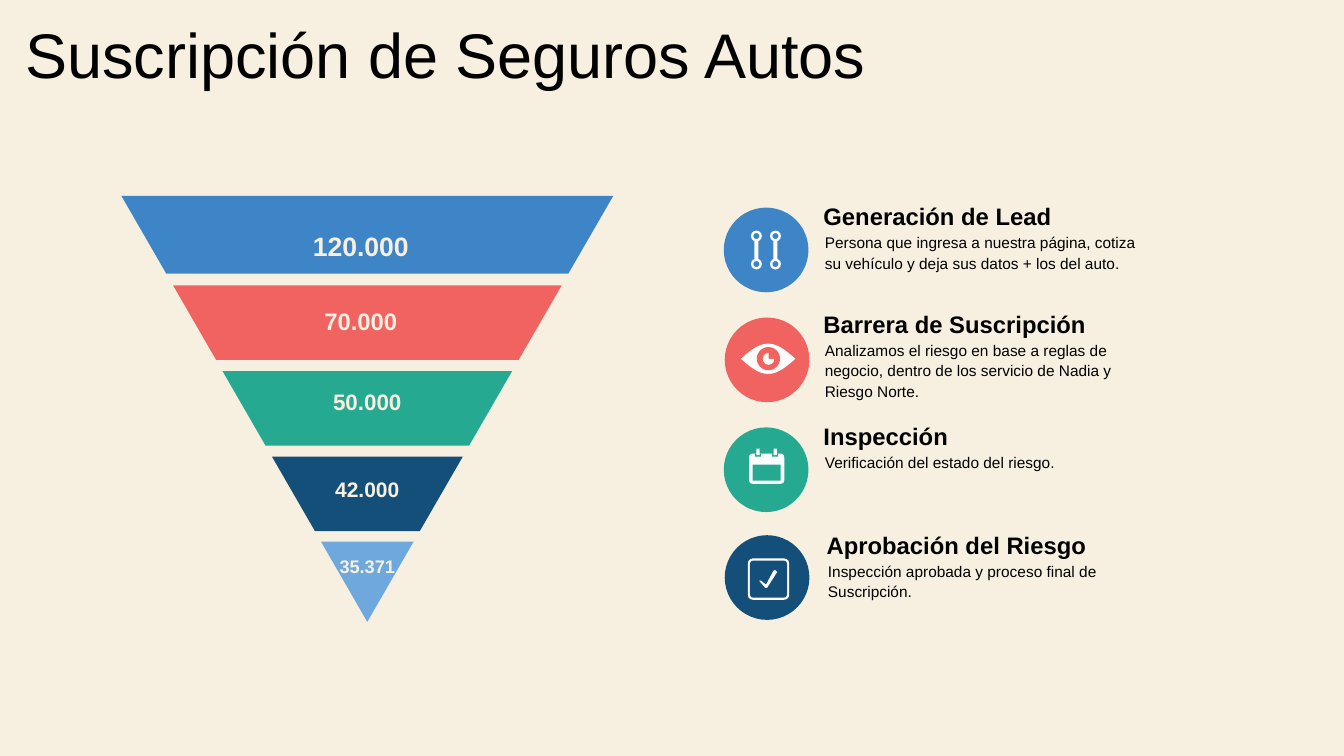
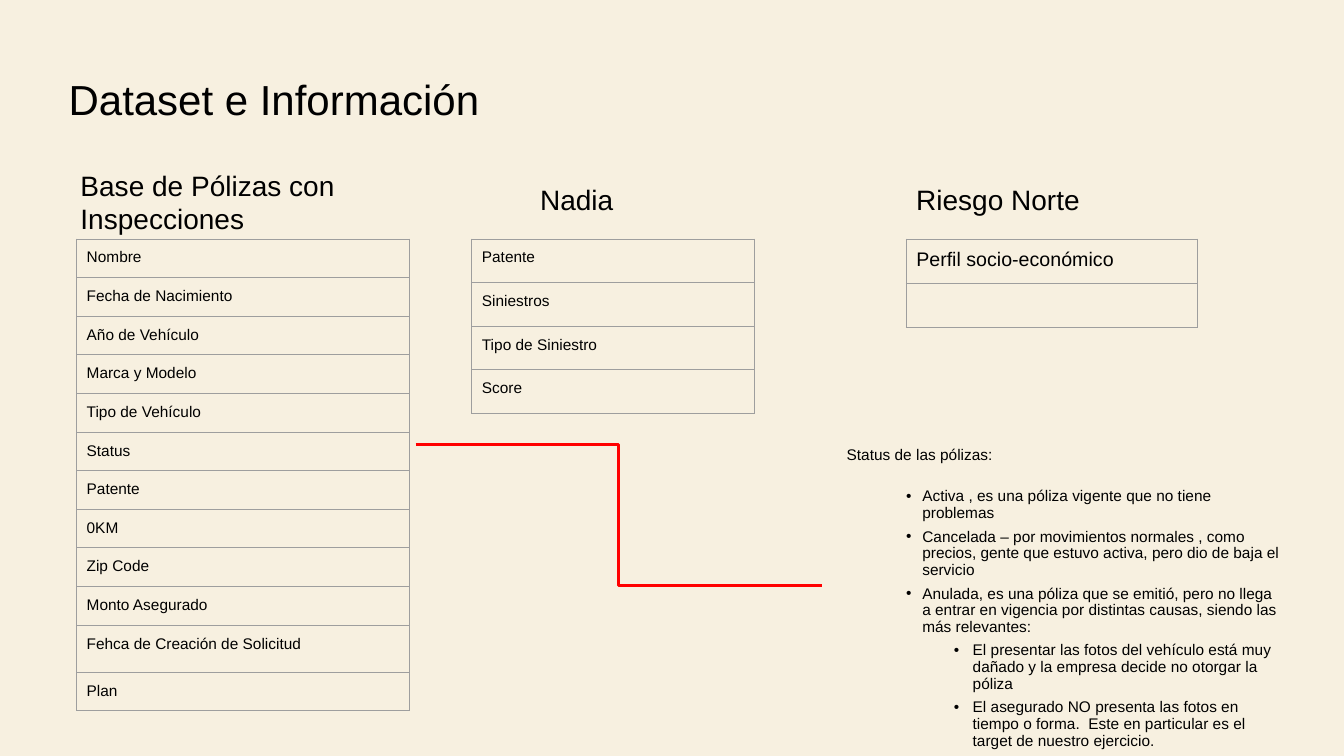
from dataclasses import dataclass
from math import pi, sin, sqrt
from typing import NamedTuple, Optional, Union

from lxml import etree
from pptx import Presentation
from pptx.dml.color import RGBColor
from pptx.enum import shapes, text
from pptx.oxml import ns
from pptx.util import Pt

Preset = shapes.MSO_SHAPE
Align = text.PP_ALIGN


@dataclass(frozen=True)
class Theme:
    font: str = "Arial"
    cream: str = "F7F0E0"
    black: str = "000000"
    white: str = "FFFFFF"
    blue: str = "3D85C6"
    coral: str = "F16361"
    green: str = "25A991"
    navy: str = "144F7A"
    sky: str = "6FA8DC"
    red: str = "FF0000"
    grid: str = "9E9E9E"
    cover_title: float = 45
    title: float = 30
    subtitle: float = 20
    heading: float = 17
    cell_large: float = 14
    body: float = 11


THEME = Theme()


class Box(NamedTuple):
    left: float
    top: float
    width: float
    height: float

    def lengths(self) -> tuple:
        return tuple(Pt(value) for value in self)


class Tier(NamedTuple):
    top: float
    bottom: float
    color: str
    label: str
    size: float
    label_left: float
    label_top: float


class Part(NamedTuple):
    """A preset shape of an icon, placed from the corner of its circle."""
    kind: Preset
    box: Box
    cut_out: bool = False
    adjust: Optional[float] = None


class Outline(NamedTuple):
    points: list


class Step(NamedTuple):
    circle_left: float
    circle_top: float
    text_left: float
    text_top: float
    color: str
    heading: str
    detail: str
    icon: list[Union[Part, Outline]]


class FieldTable(NamedTuple):
    heading: str
    heading_box: Box
    left: float
    width: float
    size: float
    row_heights: list[float]
    fields: list[str]


class Item(NamedTuple):
    level: int
    words: str


# Funnel: every side lies on a 60° line to the tip
FUNNEL_CENTER, FUNNEL_TIP = 262.4, 444.2
TIERS = [
    Tier(140, 195.5, THEME.blue, "120.000", 19, 118.8, 154.8),
    Tier(203.8, 257, THEME.coral, "70.000", 17, 118.8, 209.5),
    Tier(265, 318.2, THEME.green, "50.000", 16, 123.4, 267.8),
    Tier(326.2, 379.4, THEME.navy, "42.000", 15, 123.4, 331.2),
    Tier(386.9, FUNNEL_TIP, THEME.sky, "35.371", 13, 123.4, 387.4),
]

# Icons
CIRCLE = 60.5
LINK_ICON = [
    part
    for left in (19.4, 33)
    for part in (
        Part(Preset.DONUT, Box(left, 16.4, 7.8, 7.8), adjust=0.22),
        Part(Preset.RECTANGLE, Box(left + 2.45, 23.3, 2.9, 14.4)),
        Part(Preset.DONUT, Box(left, 36.4, 7.8, 7.8), adjust=0.22),
    )
]


def lens(box: Box, steps: int = 24) -> Outline:
    """An eye outline made of two mirrored arcs."""
    points = []
    for index in range(2 * steps):
        turn = index / steps
        along = turn if turn <= 1 else 2 - turn
        points.append((box.left + box.width * along,
                       box.top + box.height / 2 * (1 - sin(pi * turn))))
    return Outline(points)


EYE_ICON = [
    lens(Box(11.5, 18.7, 39, 21.6)),
    Part(Preset.OVAL, Box(22.9, 21.1, 16.6, 16.6), cut_out=True),
    Part(Preset.PIE, Box(27.2, 25.2, 8.2, 8.6)),
]
CALENDAR_ICON = [
    Part(Preset.ROUNDED_RECTANGLE, Box(18, 18.7, 25.2, 21.6), adjust=0.12),
    Part(Preset.RECTANGLE, Box(20.6, 26.6, 20, 11.5), cut_out=True),
] + [
    part
    for left in (22.3, 34.6)
    for part in (
        Part(Preset.RECTANGLE, Box(left, 18.7, 4.3, 2.2), cut_out=True),
        Part(Preset.RECTANGLE, Box(left + 1, 15.1, 2.3, 4.8)),
    )
]
CHECK_ICON = [
    Part(Preset.ROUNDED_RECTANGLE, Box(16.5, 16.6, 29.5, 29.5), adjust=0.12),
    Part(Preset.ROUNDED_RECTANGLE, Box(18, 18.1, 26.5, 26.5), True, 0.09),
    Outline([(24.6, 32.6), (29, 37.7), (30.2, 37.7), (37.4, 26.4),
             (36, 24.9), (34.8, 25.4), (29.5, 35.3), (25.9, 32.4)]),
]

STEPS = [
    Step(517, 148.3, 579.6, 139.7, THEME.blue, "Generación de Lead",
         "Persona que ingresa a nuestra página, cotiza su vehículo y deja "
         "sus datos + los del auto.", LINK_ICON),
    Step(517.7, 226.8, 579.6, 216.7, THEME.coral, "Barrera de Suscripción",
         "Analizamos el riesgo en base a reglas de negocio, dentro de los "
         "servicio de Nadia y Riesgo Norte.", EYE_ICON),
    Step(517, 305.3, 579.6, 296.6, THEME.green, "Inspección",
         "Verificación del estado del riesgo.", CALENDAR_ICON),
    Step(517.7, 382.3, 581.8, 374.4, THEME.navy, "Aprobación del Riesgo",
         "Inspección aprobada y proceso final de Suscripción.", CHECK_ICON),
]

# Tables
TABLE_TOP = 170.7
TABLES = [
    FieldTable("Base de Pólizas con Inspecciones", Box(50.4, 113, 286.6, 87),
               54.7, 237.6, THEME.body, [27.6] * 10 + [33.6, 27.6],
               ["Nombre", "Fecha de Nacimiento", "Año de Vehículo",
                "Marca y Modelo", "Tipo de Vehículo", "Status", "Patente",
                "0KM", "Zip Code", "Monto Asegurado",
                "Fehca de Creación de Solicitud", "Plan"]),
    FieldTable("Nadia", Box(378.7, 123.1, 286.6, 63.4),
               337, 201.6, THEME.body, [31.1] * 4,
               ["Patente", "Siniestros", "Tipo de Siniestro", "Score"]),
    FieldTable("Riesgo Norte", Box(647.3, 123.1, 286.6, 63.4),
               647.3, 208.1, THEME.cell_large, [31.5] * 2,
               ["Perfil socio-económico", ""]),
]

STATUS_HEADING = "Status de las pólizas:"
STATUSES = [
    Item(1, "Activa , es una póliza vigente que no tiene problemas"),
    Item(1, "Cancelada – por movimientos normales , como precios, gente que "
            "estuvo activa, pero dio de baja el servicio"),
    Item(1, "Anulada, es una póliza que se emitió, pero no llega a entrar en "
            "vigencia por distintas causas, siendo las más relevantes:"),
    Item(2, "El presentar las fotos del vehículo está muy dañado y la empresa "
            "decide no otorgar la póliza"),
    Item(2, "El asegurado NO presenta las fotos en tiempo o forma.  Este en "
            "particular es el target de nuestro ejercicio."),
]
INDENTS = {1: (54, -11.5), 2: (90, -13.5)}


# Shared helpers
def format_paragraph(paragraph, size: float, color: str = THEME.black,
                     bold: bool = False, align=Align.LEFT) -> None:
    paragraph.alignment = align
    font = paragraph.font
    font.name, font.size, font.bold = THEME.font, Pt(size), bold
    font.color.rgb = RGBColor.from_string(color)


def prepare_frame(shape, box: Box, inset_x: float, inset_y: float):
    shape.left, shape.top, shape.width, shape.height = box.lengths()
    frame = shape.text_frame
    frame.word_wrap = True
    frame.auto_size = text.MSO_AUTO_SIZE.NONE
    frame.vertical_anchor = text.MSO_ANCHOR.TOP
    frame.margin_left = frame.margin_right = Pt(inset_x)
    frame.margin_top = frame.margin_bottom = Pt(inset_y)
    return frame


def add_text(slide, box: Box, words: str, size: float, inset_x: float = 7.2,
             inset_y: float = 7.2, spacing: float = 1.0, **style) -> None:
    shape = slide.shapes.add_textbox(*box.lengths())
    paragraph = prepare_frame(shape, box, inset_x, inset_y).paragraphs[0]
    paragraph.text = words
    paragraph.line_spacing = spacing
    format_paragraph(paragraph, size, **style)


def set_title(slide, box: Box, words: str, size: float, inset: float) -> None:
    frame = prepare_frame(slide.shapes.title, box, inset, inset)
    frame.text = words
    format_paragraph(frame.paragraphs[0], size)


def paint(shape, color: str) -> None:
    shape.shadow.inherit = False
    shape.fill.solid()
    shape.fill.fore_color.rgb = RGBColor.from_string(color)
    shape.line.fill.background()


def add_preset(slide, kind: Preset, box: Box, color: str,
               adjust: Optional[float] = None) -> None:
    shape = slide.shapes.add_shape(kind, *box.lengths())
    paint(shape, color)
    if adjust is not None:
        shape.adjustments[0] = adjust


def add_outline(slide, points: list, color: str) -> None:
    corners = [(Pt(x), Pt(y)) for x, y in points]
    builder = slide.shapes.build_freeform(*corners[0])
    builder.add_line_segments(corners[1:], close=True)
    paint(builder.convert_to_shape(), color)


def add_child(parent, tag: str, **attributes: str):
    return etree.SubElement(parent, ns.qn(tag), **attributes)


# Parts of the slides
def add_tier(slide, tier: Tier) -> None:
    upper, lower = ((FUNNEL_TIP - y) / sqrt(3) for y in (tier.top, tier.bottom))
    points = [(FUNNEL_CENTER - upper, tier.top), (FUNNEL_CENTER + upper, tier.top),
              (FUNNEL_CENTER + lower, tier.bottom)]
    if lower:
        points.append((FUNNEL_CENTER - lower, tier.bottom))
    add_outline(slide, points, tier.color)
    add_text(slide, Box(tier.label_left, tier.label_top, 277.9, 40), tier.label,
             tier.size, 9.4, 9.4, color=THEME.cream, bold=True, align=Align.CENTER)


def add_step(slide, step: Step) -> None:
    left, top = step.circle_left, step.circle_top
    add_preset(slide, Preset.OVAL, Box(left, top, CIRCLE, CIRCLE), step.color)
    for part in step.icon:
        if isinstance(part, Outline):
            add_outline(slide, [(left + x, top + y) for x, y in part.points],
                        THEME.white)
        else:
            box = part.box._replace(left=left + part.box.left, top=top + part.box.top)
            add_preset(slide, part.kind, box,
                       step.color if part.cut_out else THEME.white, part.adjust)
    add_text(slide, Box(step.text_left, step.text_top, 212, 29.5), step.heading,
             THEME.heading, 8.6, 4.3, bold=True)
    add_text(slide, Box(step.text_left + 1, step.text_top + 21.4, 253.4, 51),
             step.detail, THEME.body, 8.6, 4.3, spacing=1.1)


def add_field_table(slide, data: FieldTable) -> None:
    add_text(slide, data.heading_box, data.heading, THEME.subtitle)
    box = Box(data.left, TABLE_TOP, data.width, sum(data.row_heights))
    table = slide.shapes.add_table(len(data.fields), 1, *box.lengths()).table
    table.first_row = table.horz_banding = False
    for row, height, field in zip(table.rows, data.row_heights, data.fields):
        row.height = Pt(height)
        cell = row.cells[0]
        cell.margin_left = cell.margin_right = cell.margin_top = Pt(7.2)
        cell.margin_bottom = 0
        cell.text = field
        format_paragraph(cell.text_frame.paragraphs[0], data.size)
        properties = cell._tc.get_or_add_tcPr()
        for side in ("a:lnL", "a:lnR", "a:lnT", "a:lnB"):
            border = add_child(properties, side, w=str(Pt(0.75)))
            add_child(add_child(border, "a:solidFill"), "a:srgbClr", val=THEME.grid)
        cell.fill.background()


def add_status_list(slide) -> None:
    frame = prepare_frame(slide.placeholders[1], Box(597.6, 311, 326.2, 234.7), 7.2, 7.2)
    for index, item in enumerate([Item(0, STATUS_HEADING), *STATUSES]):
        paragraph = frame.paragraphs[0] if index == 0 else frame.add_paragraph()
        paragraph.text = item.words
        paragraph.level = item.level
        properties = paragraph._p.get_or_add_pPr()
        margin, indent = INDENTS.get(item.level, (0, 0))
        properties.set("marL", str(Pt(margin)))
        properties.set("indent", str(Pt(indent)))
        if item.level:
            add_child(add_child(properties, "a:buClr"), "a:srgbClr", val=THEME.black)
            add_child(properties, "a:buFont", typeface=THEME.font)
            add_child(properties, "a:buChar", char="•")
        else:
            add_child(properties, "a:buNone")
        paragraph.line_spacing = 0.9 if item.level else 1.0
        paragraph.space_before = Pt(5 if item.level else 0)
        paragraph.space_after = Pt(0 if item.level else 12.6)
        format_paragraph(paragraph, THEME.body)


def add_status_link(slide) -> None:
    link = slide.shapes.add_connector(shapes.MSO_CONNECTOR.ELBOW, Pt(296.9),
                                      Pt(317.3), Pt(587), Pt(418.2))
    link.line.width = Pt(2.25)
    link.line.color.rgb = RGBColor.from_string(THEME.red)
    add_child(link._element.spPr, "a:effectLst")


def main() -> None:
    presentation = Presentation()
    presentation.slide_width, presentation.slide_height = Pt(960), Pt(540)
    background = presentation.slide_master.background.fill
    background.solid()
    background.fore_color.rgb = RGBColor.from_string(THEME.cream)
    layouts = presentation.slide_layouts

    # Subscription funnel
    slide = presentation.slides.add_slide(layouts.get_by_name("Title Only"))
    set_title(slide, Box(18, 10.8, 751, 54.7), "Suscripción de Seguros Autos",
              THEME.cover_title, 0)
    for tier in TIERS:
        add_tier(slide, tier)
    for step in STEPS:
        add_step(slide, step)

    # Data sets
    slide = presentation.slides.add_slide(layouts.get_by_name("Title and Content"))
    set_title(slide, Box(41.8, 45.4, 573.1, 51.1), "Dataset e Información",
              THEME.title, 7.2)
    for data in TABLES:
        add_field_table(slide, data)
    add_status_link(slide)
    add_status_list(slide)

    presentation.save("out.pptx")


if __name__ == "__main__":
    main()
